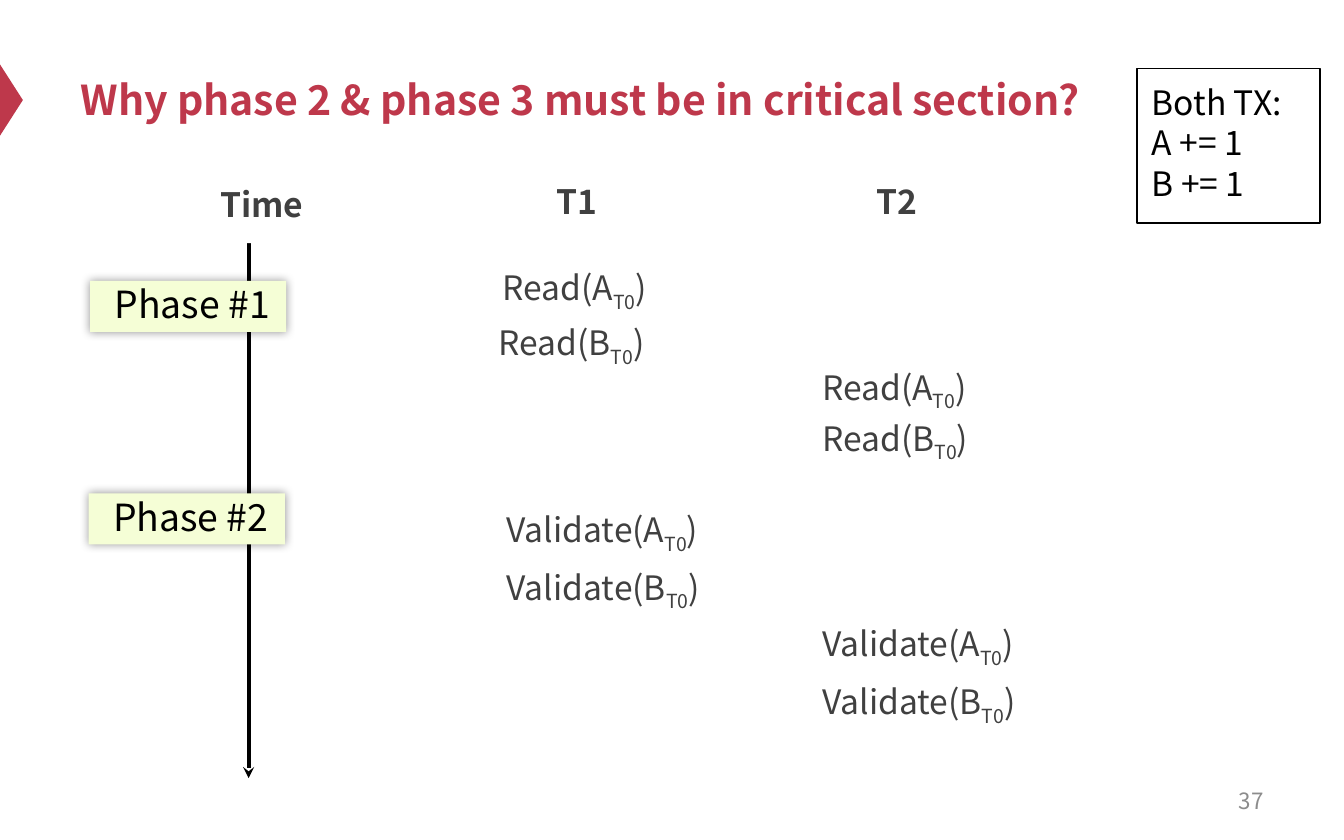
import pptx
import pptx.dml.color
import pptx.enum.shapes
import pptx.enum.text
import pptx.oxml
import pptx.oxml.ns
import pptx.util

Inches = pptx.util.Inches
Pt = pptx.util.Pt
RGBColor = pptx.dml.color.RGBColor
Shapes = pptx.enum.shapes.MSO_SHAPE
Anchor = pptx.enum.text.MSO_ANCHOR
Align = pptx.enum.text.PP_ALIGN

RED = RGBColor(0xBE, 0x38, 0x4B)
GRAY = RGBColor(0x40, 0x40, 0x40)
PALE_GRAY = RGBColor(0x8C, 0x8C, 0x8C)
LIME = RGBColor(0xF5, 0xFE, 0xD6)
BLACK = RGBColor(0, 0, 0)
WHITE = RGBColor(0xFF, 0xFF, 0xFF)
FONT = "Noto Sans CJK SC"


def add_xml(parent, tag, content="", attributes=""):
    xml = f'<a:{tag} {pptx.oxml.ns.nsdecls("a")} {attributes}>{content}</a:{tag}>'
    parent.append(pptx.oxml.parse_xml(xml))


def write(frame, text, size=18, color=GRAY, bold=False, align=Align.LEFT,
          anchor=Anchor.TOP, spacing=None, subscript=None, tail=""):
    frame.word_wrap = True
    frame.auto_size = pptx.enum.text.MSO_AUTO_SIZE.NONE
    frame.vertical_anchor = anchor
    for index, line in enumerate(text.split("\n")):
        para = frame.paragraphs[0] if index == 0 else frame.add_paragraph()
        para.alignment = align
        para.line_spacing = spacing
        for part in (line, subscript, tail):
            if not part:
                continue
            span = para.add_run()
            span.text = part
            span.font.name = FONT
            span.font.size = Pt(size)
            span.font.bold = bold
            span.font.color.rgb = color
            if part == subscript:
                span.font._element.set("baseline", "-25000")


class SlideBuilder:
    def __init__(self, page):
        self.page = page

    def title(self, text, left, top, width, height):
        box = self.page.shapes.title
        box.left, box.top = Inches(left), Inches(top)
        box.width, box.height = Inches(width), Inches(height)
        write(box.text_frame, text, size=22, color=RED, bold=True, anchor=Anchor.MIDDLE)

    def text(self, text, left, top, width, height, **style):
        box = self.page.shapes.add_textbox(
            Inches(left), Inches(top), Inches(width), Inches(height))
        write(box.text_frame, text, **style)

    def shape(self, left, top, width, height, kind=Shapes.RECTANGLE, fill=None, line=None):
        box = self.page.shapes.add_shape(
            kind, Inches(left), Inches(top), Inches(width), Inches(height))
        box.shadow.inherit = False
        if fill is None:
            box.fill.background()
        else:
            box.fill.solid()
            box.fill.fore_color.rgb = fill
        if line is None:
            box.line.fill.background()
        else:
            box.line.color.rgb = line
            box.line.width = Pt(1)
        return box

    def marker(self, left, top, width, height):
        box = self.shape(left, top, width, height, Shapes.ISOSCELES_TRIANGLE, RED)
        box.rotation = 90

    def operation(self, name, item, left, top, width):
        self.text(f"{name}({item}", left, top, width, 0.55,
                  spacing=1.2, subscript="T0", tail=")")

    def phase(self, text, left, top):
        box = self.shape(left, top, 1.46, 0.38, fill=LIME)
        effects = box._element.spPr.find(pptx.oxml.ns.qn("a:effectLst"))
        add_xml(effects, "outerShdw",
                '<a:srgbClr val="000000"><a:alpha val="40000"/></a:srgbClr>',
                f'blurRad="{Pt(5)}" dist="0" dir="0" rotWithShape="0"')
        frame = box.text_frame
        frame.margin_left, frame.margin_right = Inches(0.14), Inches(0.08)
        frame.margin_top, frame.margin_bottom = Inches(0), Inches(0.04)
        write(frame, text, size=20, color=BLACK, align=Align.CENTER, anchor=Anchor.MIDDLE)

    def arrow(self, x, top, bottom):
        line = self.page.shapes.add_connector(
            pptx.enum.shapes.MSO_CONNECTOR.STRAIGHT,
            Inches(x), Inches(top), Inches(x), Inches(bottom))
        line.line.color.rgb = BLACK
        line.line.width = Pt(2)
        add_xml(line.line._get_or_add_ln(), "tailEnd", attributes='type="stealth"')
        add_xml(line._element.spPr, "effectLst")


def main():
    deck = pptx.Presentation()
    deck.slide_width, deck.slide_height = Inches(10), Inches(6.25)
    builder = SlideBuilder(deck.slides.add_slide(deck.slide_layouts[5]))

    builder.marker(-0.18, 0.66, 0.53, 0.17)
    builder.title("Why phase 2 & phase 3 must be in critical section?", 0.5, 0.25, 9, 0.98)
    builder.text("37", 7.17, 5.79, 2.33, 0.33, size=12, color=PALE_GRAY,
                 align=Align.RIGHT, anchor=Anchor.MIDDLE)

    for name, left in (("T1", 4.04), ("T2", 6.42)):
        builder.text(name, left, 1.24, 0.88, 0.55, bold=True, spacing=1.2)

    builder.arrow(1.85, 1.54, 5.79)
    time = builder.shape(1.54, 1.26, 0.88, 0.55, fill=WHITE)
    write(time.text_frame, "Time", bold=True, spacing=1.2)
    builder.phase("Phase #1", 0.67, 2.09)
    builder.phase("Phase #2", 0.66, 3.67)

    for name, item, left, top, width in (
        ("Read", "A", 3.64, 1.87, 1.46),
        ("Read", "B", 3.61, 2.28, 1.46),
        ("Read", "A", 6.02, 2.61, 1.46),
        ("Read", "B", 6.02, 2.99, 1.46),
        ("Validate", "A", 3.67, 3.67, 1.81),
        ("Validate", "B", 3.67, 4.1, 1.81),
        ("Validate", "A", 6.02, 4.52, 1.81),
        ("Validate", "B", 6.02, 4.95, 1.81),
    ):
        builder.operation(name, item, left, top, width)

    builder.shape(8.46, 0.51, 1.36, 1.15, line=BLACK)
    builder.text("Both TX:\nA += 1\nB += 1", 8.47, 0.56, 1.31, 1.01, color=BLACK)

    deck.save("out.pptx")


if __name__ == "__main__":
    main()
